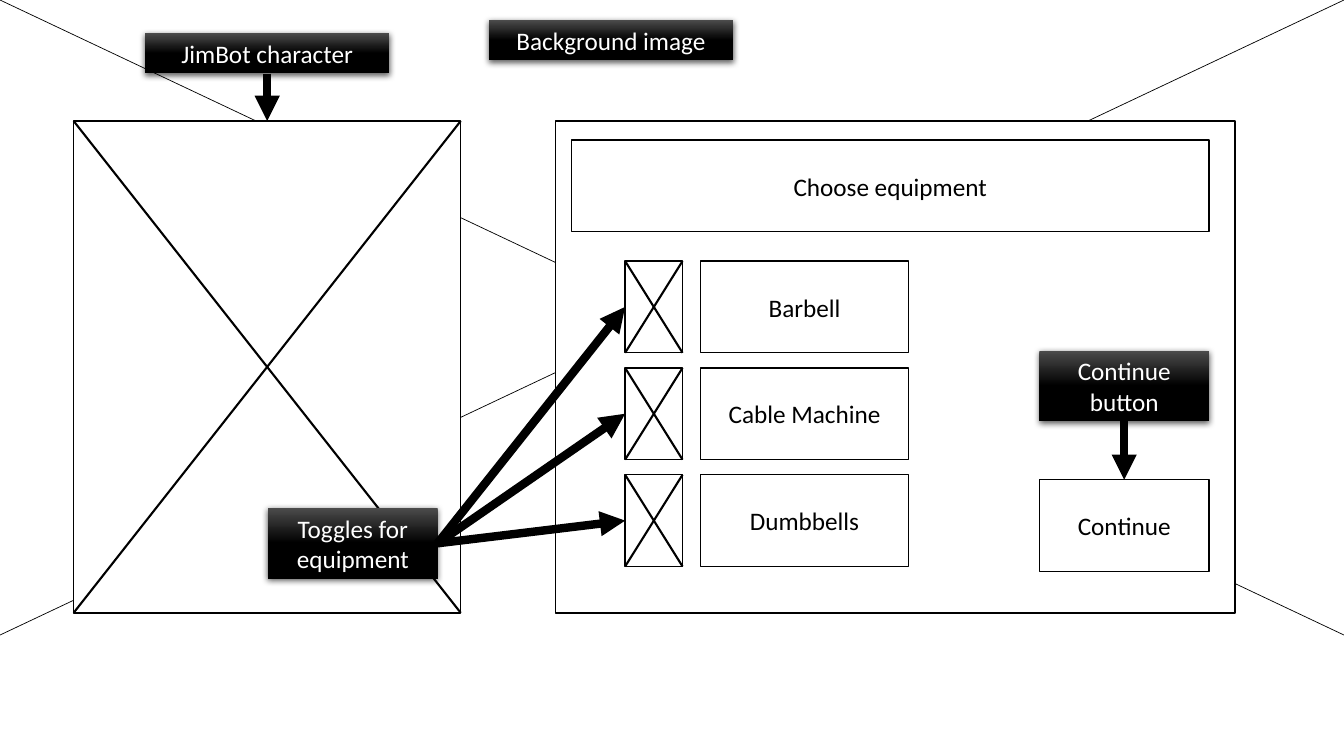
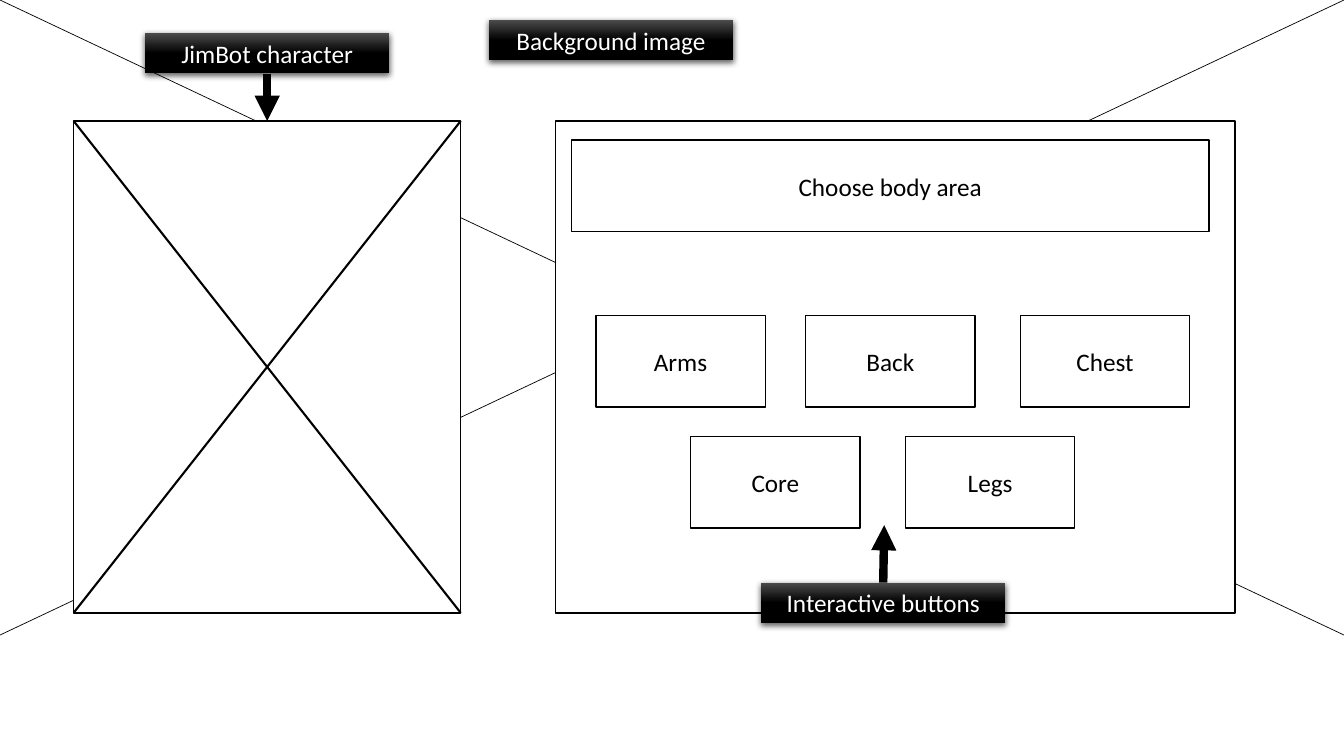
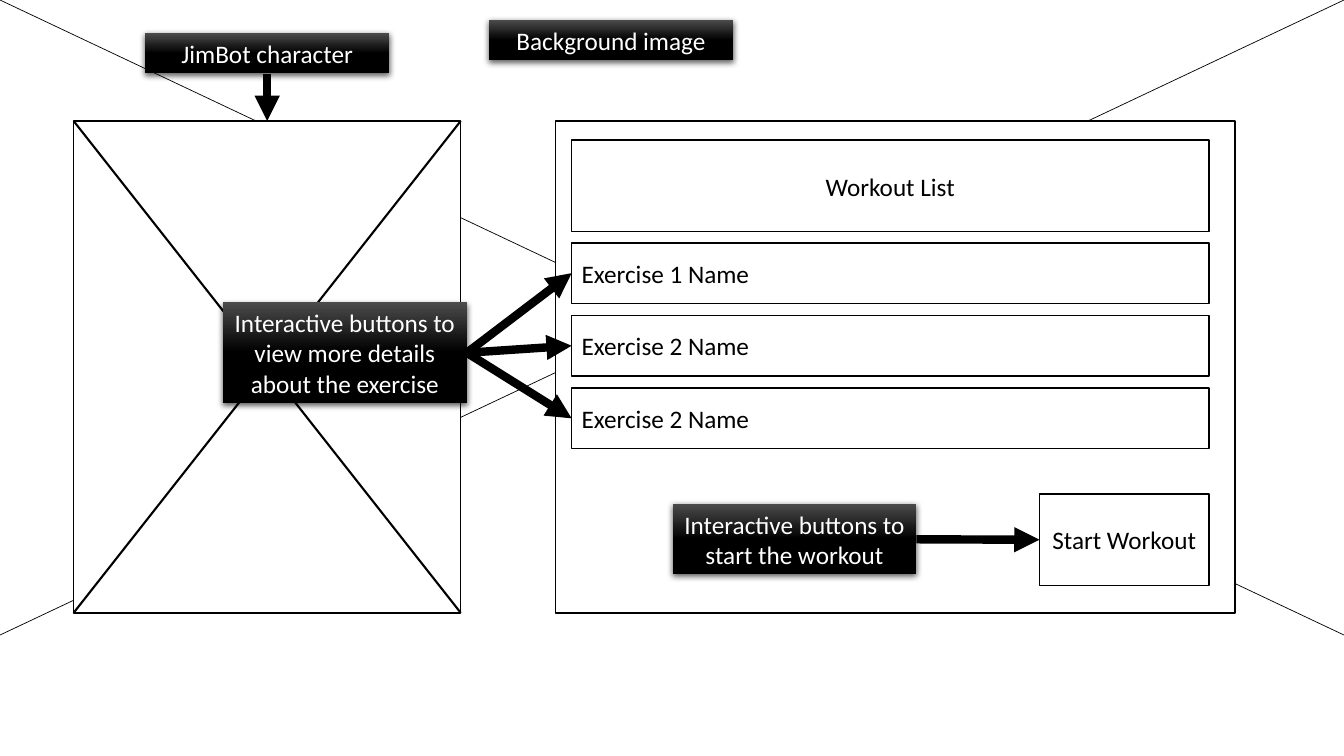
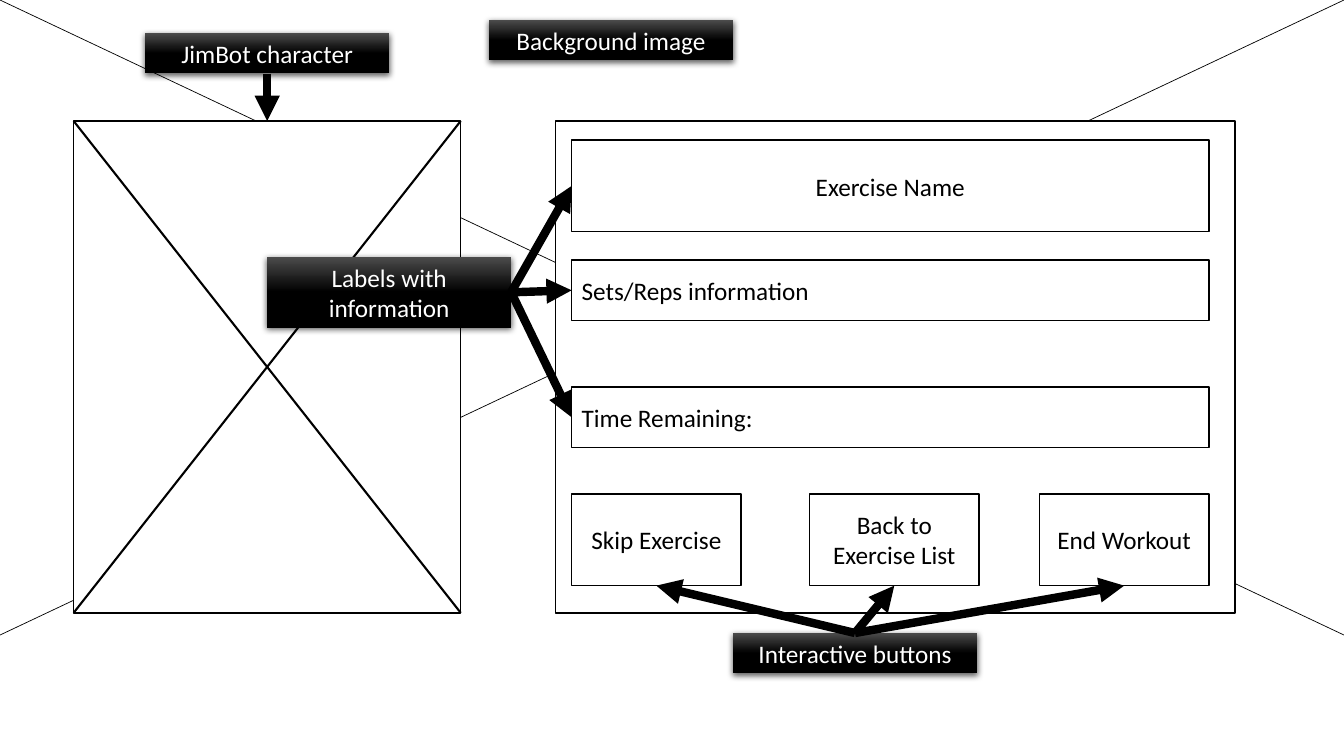
from pptx import Presentation
from pptx import util as u
from pptx.dml.color import RGBColor
from pptx.enum import shapes, text
from pptx.oxml import parse_xml
from pptx.oxml.ns import nsdecls

COLORS = {"ink": "000000", "paper": "FFFFFF", "sheen": "4B4B4B"}
FONT = "Calibri"
TOP, LEFT, BOTTOM, RIGHT = range(4)
MARGIN, INNER_WIDTH = 5.67, 6.32
BUTTON_WIDTH, BUTTON_HEIGHT, ROW_HEIGHT = 1.68, 0.91, 0.6
CALLOUT_WIDTH = 2.42
LINE_HEIGHT = 0.3
LAST_COLUMN = MARGIN + INNER_WIDTH - BUTTON_WIDTH
ACTION_TOP = 4.9


def color(name):
    return RGBColor.from_string(COLORS[name])


class Wireframe:
    """Draws annotated app screens in one shared black and white style."""

    def __init__(self):
        self.deck = Presentation()
        self.deck.slide_width = u.Inches(13.33)
        self.deck.slide_height = u.Inches(7.5)
        self.slide = None

    def screen(self, heading):
        self.slide = self.deck.slides.add_slide(self.deck.slide_layouts[5])
        self.cross(0, 0, 13.33, 6.3, 0.5)
        self.callout("Background image", 4.85, 0.2)
        character = self.image_box(0.73, 1.2, 3.84, 4.88)
        self.box(5.51, 1.2, 6.74, 4.88)
        name = self.callout("JimBot character", 1.44, 0.33)
        self.arrow(name, BOTTOM, character, TOP)
        return self.heading(heading)

    def heading(self, words):
        title = self.slide.shapes.title
        self.slide.shapes._spTree.append(title._element)
        title.left, title.top = u.Inches(MARGIN), u.Inches(1.39)
        title.width, title.height = u.Inches(INNER_WIDTH), u.Inches(BUTTON_HEIGHT)
        self.outline(title)
        self.label(title, words)
        return title

    def rectangle(self, left, top, width, height):
        area = self.slide.shapes.add_shape(
            shapes.MSO_SHAPE.RECTANGLE, u.Inches(left), u.Inches(top),
            u.Inches(width), u.Inches(height))
        area.shadow.inherit = False
        return area

    def outline(self, area):
        area.fill.solid()
        area.fill.fore_color.rgb = color("paper")
        area.line.color.rgb = color("ink")
        area.line.width = u.Pt(1)

    def label(self, area, words, ink="ink", align=text.PP_ALIGN.CENTER,
              anchor=text.MSO_ANCHOR.MIDDLE, fit=text.MSO_AUTO_SIZE.NONE):
        frame = area.text_frame
        frame.word_wrap = True
        frame.auto_size = fit
        frame.vertical_anchor = anchor
        paragraph = frame.paragraphs[0]
        paragraph.alignment = align
        run = paragraph.add_run()
        run.text = words
        run.font.name = FONT
        run.font.size = u.Pt(18)
        run.font.color.rgb = color(ink)

    def box(self, left, top, width, height):
        area = self.rectangle(left, top, width, height)
        self.outline(area)
        return area

    def button(self, words, left, top, width=BUTTON_WIDTH):
        area = self.box(left, top, width, BUTTON_HEIGHT)
        self.label(area, words)
        return area

    def row(self, words, top):
        area = self.box(MARGIN, top, INNER_WIDTH, ROW_HEIGHT)
        self.label(area, words, align=text.PP_ALIGN.LEFT)
        return area

    def image_box(self, left, top, width, height):
        area = self.box(left, top, width, height)
        self.cross(left, top, width, height, 1.5)
        return area

    def callout(self, words, left, top, width=CALLOUT_WIDTH, lines=1):
        area = self.rectangle(left, top, width, 0.1 + LINE_HEIGHT * lines)
        area.fill.gradient()
        area.fill.gradient_angle = 270
        stops = zip(area.fill.gradient_stops, ("sheen", "ink"), (0, 0.5))
        for stop, shade, position in stops:
            stop.color.rgb = color(shade)
            stop.position = position
        area.line.fill.background()
        area._element.spPr.find("{*}effectLst").append(parse_xml(
            f'<a:outerShdw {nsdecls("a")} blurRad="57150" dist="19050" '
            f'dir="5400000" algn="ctr" rotWithShape="0">'
            f'<a:srgbClr val="{COLORS["ink"]}"><a:alpha val="63000"/></a:srgbClr>'
            f'</a:outerShdw>'))
        self.label(area, words, "paper", anchor=text.MSO_ANCHOR.TOP,
                   fit=text.MSO_AUTO_SIZE.SHAPE_TO_FIT_TEXT)
        return area

    def line(self, start, end, weight):
        stroke = self.slide.shapes.add_connector(
            shapes.MSO_CONNECTOR.STRAIGHT, *map(u.Inches, start + end))
        stroke.line.color.rgb = color("ink")
        stroke.line.width = u.Pt(weight)
        stroke._element.spPr.append(parse_xml(f'<a:effectLst {nsdecls("a")}/>'))
        return stroke

    def cross(self, left, top, width, height, weight):
        right, bottom = left + width, top + height
        self.line((left, top), (right, bottom), weight)
        self.line((left, bottom), (right, top), weight)

    def arrow(self, source, source_side, target=None, target_side=None, end=(0, 0)):
        stroke = self.line((0, 0), end, 6)
        stroke.begin_connect(source, source_side)
        if target is not None:
            stroke.end_connect(target, target_side)
        stroke.line._ln.append(parse_xml(f'<a:tailEnd {nsdecls("a")} type="triangle"/>'))

    def arrows(self, source, source_side, targets, target_side):
        for target in targets:
            self.arrow(source, source_side, target, target_side)


def equipment_screen(app):
    app.screen("Choose equipment")
    toggles = []
    for index, machine in enumerate(("Barbell", "Cable Machine", "Dumbbells")):
        top = 2.59 + 1.06 * index
        toggles.append(app.image_box(6.2, top, 0.57, BUTTON_HEIGHT))
        app.button(machine, 6.95, top, 2.06)
    proceed = app.button("Continue", LAST_COLUMN, 4.76)
    toggle_note = app.callout("Toggles for equipment", 2.66, 5.04, BUTTON_WIDTH, 2)
    proceed_note = app.callout("Continue button", LAST_COLUMN, 3.48, BUTTON_WIDTH, 2)
    app.arrow(proceed_note, BOTTOM, proceed, TOP)
    app.arrows(toggle_note, RIGHT, toggles, LEFT)


def body_area_screen(app):
    app.screen("Choose body area")
    areas = {3.13: {"Arms": 5.91, "Back": 7.99, "Chest": 10.12},
             4.33: {"Core": 6.85, "Legs": 8.98}}
    for top, places in areas.items():
        for area, left in places.items():
            app.button(area, left, top)
    note = app.callout("Interactive buttons", 7.55, 5.78)
    app.arrow(note, TOP, end=(8.77, 5.21))


def workout_list_screen(app):
    app.screen("Workout List")
    names = ("Exercise 1 Name", "Exercise 2 Name", "Exercise 2 Name")
    exercises = [app.row(name, 2.41 + 0.72 * index) for index, name in enumerate(names)]
    start = app.button("Start Workout", LAST_COLUMN, ACTION_TOP)
    detail_note = app.callout(
        "Interactive buttons to view more details about the exercise", 2.21, 3, lines=3)
    app.arrows(detail_note, RIGHT, exercises, LEFT)
    start_note = app.callout("Interactive buttons to start the workout", 6.67, 5, lines=2)
    app.arrow(start_note, RIGHT, start, LEFT)


def exercise_screen(app):
    name = app.screen("Exercise Name")
    sets = app.row("Sets/Reps information", 2.58)
    remaining = app.row("Time Remaining:", 3.84)
    label_note = app.callout("Labels with information", 2.65, 2.55, lines=2)
    app.arrows(label_note, RIGHT, (name, sets, remaining), LEFT)
    actions = [app.button(action, left, ACTION_TOP) for action, left in (
        ("Skip Exercise", MARGIN), ("Back to Exercise List", 8.03),
        ("End Workout", LAST_COLUMN))]
    action_note = app.callout("Interactive buttons", 7.27, 6.28)
    app.arrows(action_note, TOP, actions, BOTTOM)


wireframe = Wireframe()
for draw in (equipment_screen, body_area_screen, workout_list_screen, exercise_screen):
    draw(wireframe)
wireframe.deck.save("out.pptx")
